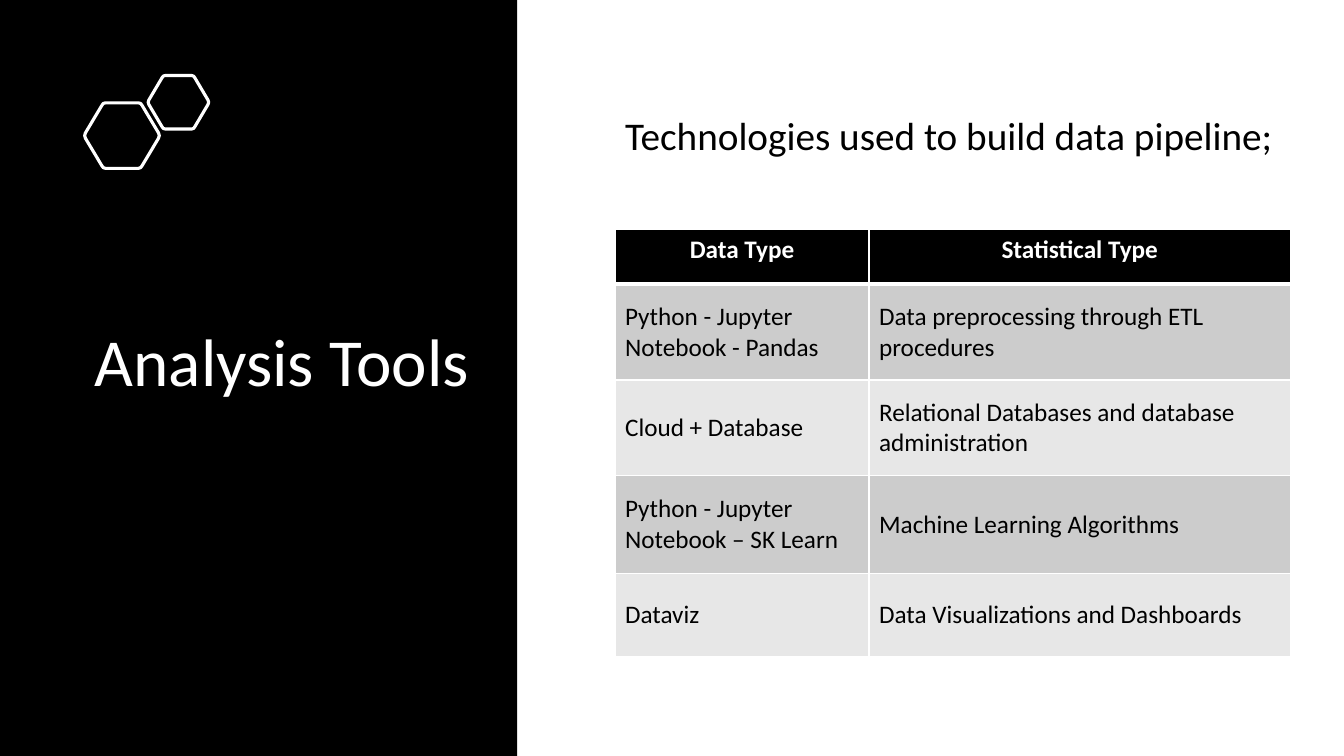
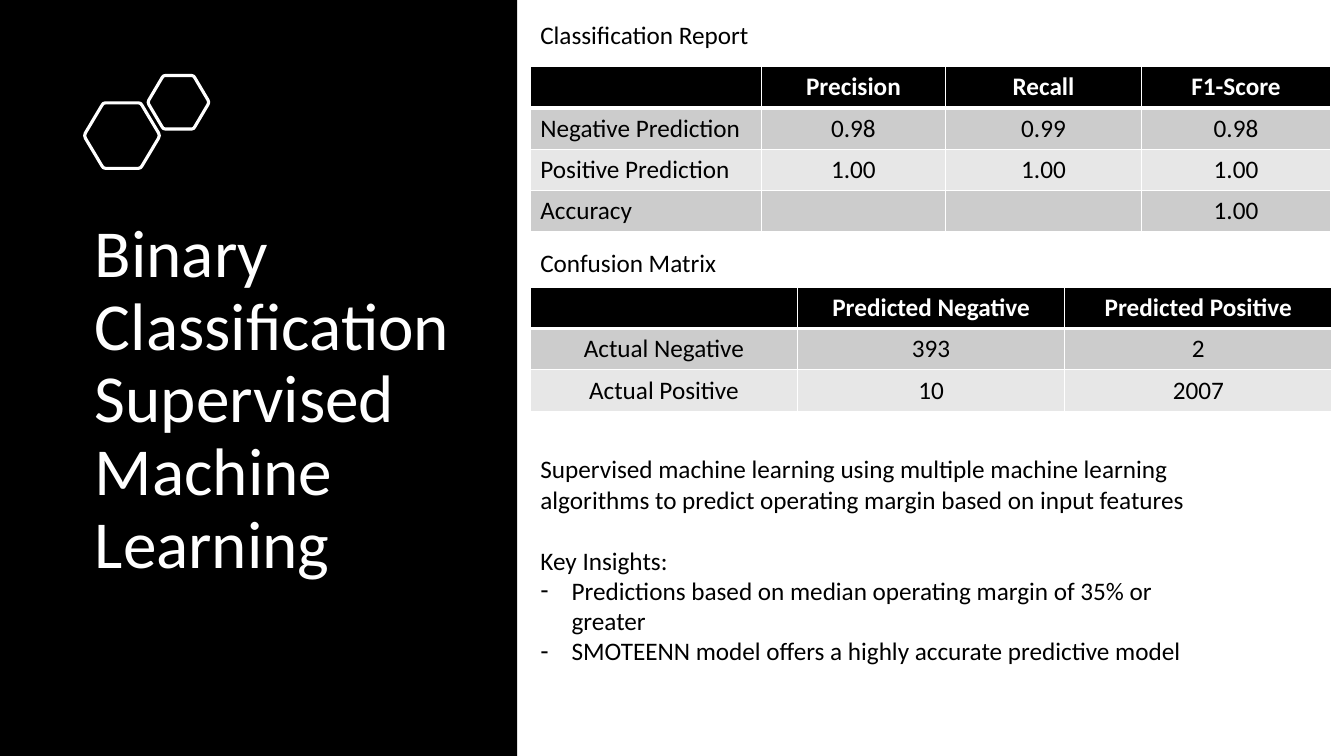
from dataclasses import dataclass

from lxml import etree
from pptx import Presentation
from pptx.dml.color import RGBColor
from pptx.enum.shapes import MSO_SHAPE
from pptx.enum.text import MSO_ANCHOR, MSO_AUTO_SIZE, PP_ALIGN
from pptx.oxml.ns import qn
from pptx.util import Inches, Pt

RECTANGLE = MSO_SHAPE.RECTANGLE
TOP, MIDDLE = MSO_ANCHOR.TOP, MSO_ANCHOR.MIDDLE
LEFT, CENTER = PP_ALIGN.LEFT, PP_ALIGN.CENTER
NO_AUTOFIT = MSO_AUTO_SIZE.NONE


@dataclass(frozen=True)
class Theme:
    font: str = "Calibri"
    black: RGBColor = RGBColor(0x00, 0x00, 0x00)
    white: RGBColor = RGBColor(0xFF, 0xFF, 0xFF)
    dark_row: RGBColor = RGBColor(0xCC, 0xCC, 0xCC)
    light_row: RGBColor = RGBColor(0xE7, 0xE7, 0xE7)
    title_size: int = 48
    lead_size: int = 28
    text_size: int = 18
    outline: float = 2.25
    rule: int = 1
    header_rule: int = 3


THEME = Theme()
SLIDE_WIDTH, SLIDE_HEIGHT = 13.33, 7.5
BAND_WIDTH = 5.13
CONTENT_LEFT = 5.26
TEXT_WIDTH = 6.61
ROW_HEIGHT = 0.41
BULLET_INDENT = 0.31
HEXAGONS = [(0.84, 1.02, 0.74, 0.65), (1.47, 0.75, 0.6, 0.53)]
HEXAGON_RIGHT = [(0.72, 0), (0.75, 0.01), (0.77, 0.04), (0.99, 0.46), (1, 0.5),
                 (0.99, 0.54), (0.77, 0.96), (0.75, 0.99), (0.72, 1)]


def style(paragraph, size, color=THEME.black, bold=False, align=LEFT, spacing=1.0, before=0):
    paragraph.font.name = THEME.font
    paragraph.font.size = Pt(size)
    paragraph.font.color.rgb = color
    paragraph.font.bold = bold
    paragraph.alignment = align
    paragraph.line_spacing = spacing
    paragraph.space_before = Pt(before)


def set_bullet(paragraph, character=None):
    properties = paragraph._p.get_or_add_pPr()
    indent = Inches(BULLET_INDENT) if character else 0
    properties.set("marL", str(indent))
    properties.set("indent", str(-indent))
    bullet = etree.Element(qn("a:buChar" if character else "a:buNone"))
    if character:
        bullet.set("char", character)
    properties.insert_element_before(bullet, "a:tabLst", "a:defRPr", "a:extLst")


def place(holder, left, top, width, height, anchor):
    holder.left, holder.top = Inches(left), Inches(top)
    holder.width, holder.height = Inches(width), Inches(height)
    frame = holder.text_frame
    frame.word_wrap = True
    frame.auto_size = NO_AUTOFIT
    frame.vertical_anchor = anchor
    return frame


def add_band(slide):
    band = slide.shapes.add_shape(RECTANGLE, 0, 0, Inches(BAND_WIDTH), Inches(SLIDE_HEIGHT))
    band.shadow.inherit = False
    band.fill.solid()
    band.fill.fore_color.rgb = THEME.black
    band.line.fill.background()
    slide.shapes._spTree.insert(2, band._element)


def add_hexagon(shapes, left, top, width, height):
    mirrored = [(1 - x, y) for x, y in reversed(HEXAGON_RIGHT)]
    points = [(Inches(left + x * width), Inches(top + y * height))
              for x, y in HEXAGON_RIGHT + mirrored]
    builder = shapes.build_freeform(*points[0])
    builder.add_line_segments(points[1:], close=True)
    hexagon = builder.convert_to_shape()
    hexagon.shadow.inherit = False
    hexagon.fill.background()
    hexagon.line.color.rgb = THEME.white
    hexagon.line.width = Pt(THEME.outline)


def add_titled_slide(deck, title, title_top=1.28):
    slide = deck.slides.add_slide(deck.slide_layouts[1])
    add_band(slide)
    ornament = slide.shapes.add_group_shape()
    for box in HEXAGONS:
        add_hexagon(ornament.shapes, *box)
    frame = place(slide.shapes.title, 0.84, title_top, 3.92, 4.68, MIDDLE)
    frame.text = title
    style(frame.paragraphs[0], THEME.title_size, THEME.white, spacing=0.9)
    return slide


def add_caption(slide, text, top):
    caption = slide.shapes.add_textbox(0, 0, 0, 0)
    frame = place(caption, CONTENT_LEFT, top, TEXT_WIDTH, 0.4, TOP)
    frame.text = text
    style(frame.paragraphs[0], THEME.text_size)


def set_borders(cell, top, bottom):
    properties = cell._tc.get_or_add_tcPr()
    sides = [("L", THEME.rule), ("R", THEME.rule), ("T", top), ("B", bottom)]
    for position, (side, width) in enumerate(sides):
        border = etree.Element(qn(f"a:ln{side}"), w=str(Pt(width)))
        fill = etree.SubElement(border, qn("a:solidFill"))
        etree.SubElement(fill, qn("a:srgbClr"), val=str(THEME.white))
        properties.insert(position, border)


def fill_cell(cell, text, row, align):
    header = row == 0
    cell.text = text
    cell.vertical_anchor = TOP if header else MIDDLE
    style(cell.text_frame.paragraphs[0], THEME.text_size,
          THEME.white if header else THEME.black, header, CENTER if header else align)
    cell.fill.solid()
    if header:
        cell.fill.fore_color.rgb = THEME.black
    else:
        cell.fill.fore_color.rgb = THEME.dark_row if row % 2 else THEME.light_row
    set_borders(cell, THEME.header_rule if row == 1 else THEME.rule,
                THEME.header_rule if header else THEME.rule)


def add_data_table(slide, left, top, widths, heights, alignments, rows):
    table = slide.shapes.add_table(
        len(rows), len(widths), Inches(left), Inches(top),
        Inches(sum(widths)), Inches(sum(heights))).table
    for column, width in zip(table.columns, widths):
        column.width = Inches(width)
    for row, height in zip(table.rows, heights):
        row.height = Inches(height)
    for row, texts in enumerate(rows):
        for column, (text, align) in enumerate(zip(texts, alignments)):
            fill_cell(table.cell(row, column), text, row, align)


def build_tools_slide(deck):
    slide = add_titled_slide(deck, "Analysis Tools")
    lead = place(slide.placeholders[1], 6.1, 0.75, 6.66, 1.24, MIDDLE)
    lead.text = "Technologies used to build data pipeline;"
    style(lead.paragraphs[0], THEME.lead_size, spacing=0.9, before=10)
    set_bullet(lead.paragraphs[0])
    add_data_table(slide, 6.1, 2.28, [2.52, 4.18], [0.54, 0.95, 0.95, 0.97, 0.82], [LEFT, LEFT], [
        ("Data Type", "Statistical Type"),
        ("Python - Jupyter Notebook - Pandas", "Data preprocessing through ETL procedures"),
        ("Cloud + Database", "Relational Databases and database administration"),
        ("Python - Jupyter Notebook – SK Learn", "Machine Learning Algorithms"),
        ("Dataviz", "Data Visualizations and Dashboards"),
    ])


def build_classification_slide(deck):
    slide = add_titled_slide(
        deck, "Binary Classification Supervised Machine Learning", title_top=1.64)
    add_caption(slide, "Classification Report", 0.14)
    add_data_table(slide, CONTENT_LEFT, 0.66, [2.29, 1.83, 1.94, 1.88], [ROW_HEIGHT] * 4,
                   [LEFT, CENTER, CENTER, CENTER], [
        ("", "Precision", "Recall", "F1-Score"),
        ("Negative Prediction", "0.98", "0.99", "0.98"),
        ("Positive Prediction", "1.00", "1.00", "1.00"),
        ("Accuracy", "", "", "1.00"),
    ])
    add_caption(slide, "Confusion Matrix", 2.4)
    add_data_table(slide, CONTENT_LEFT, 2.85, [2.65] * 3, [ROW_HEIGHT] * 3, [CENTER] * 3, [
        ("", "Predicted Negative", "Predicted Positive"),
        ("Actual Negative", "393", "2"),
        ("Actual Positive", "10", "2007"),
    ])
    insights = [
        ("Supervised machine learning using multiple machine learning algorithms "
         "to predict operating margin based on input features", None, 0),
        ("Key Insights:", None, 22),
        ("Predictions based on median operating margin of 35% or greater", "-", 0),
        ("SMOTEENN model offers a highly accurate predictive model", "-", 0),
    ]
    frame = place(slide.placeholders[1], CONTENT_LEFT, 4.45, TEXT_WIDTH, 2.22, TOP)
    frame.text = "\n".join(text for text, _, _ in insights)
    for paragraph, (_, bullet, before) in zip(frame.paragraphs, insights):
        style(paragraph, THEME.text_size, before=before)
        set_bullet(paragraph, bullet)


def main():
    deck = Presentation()
    deck.slide_width, deck.slide_height = Inches(SLIDE_WIDTH), Inches(SLIDE_HEIGHT)
    build_tools_slide(deck)
    build_classification_slide(deck)
    deck.save("out.pptx")


if __name__ == "__main__":
    main()
